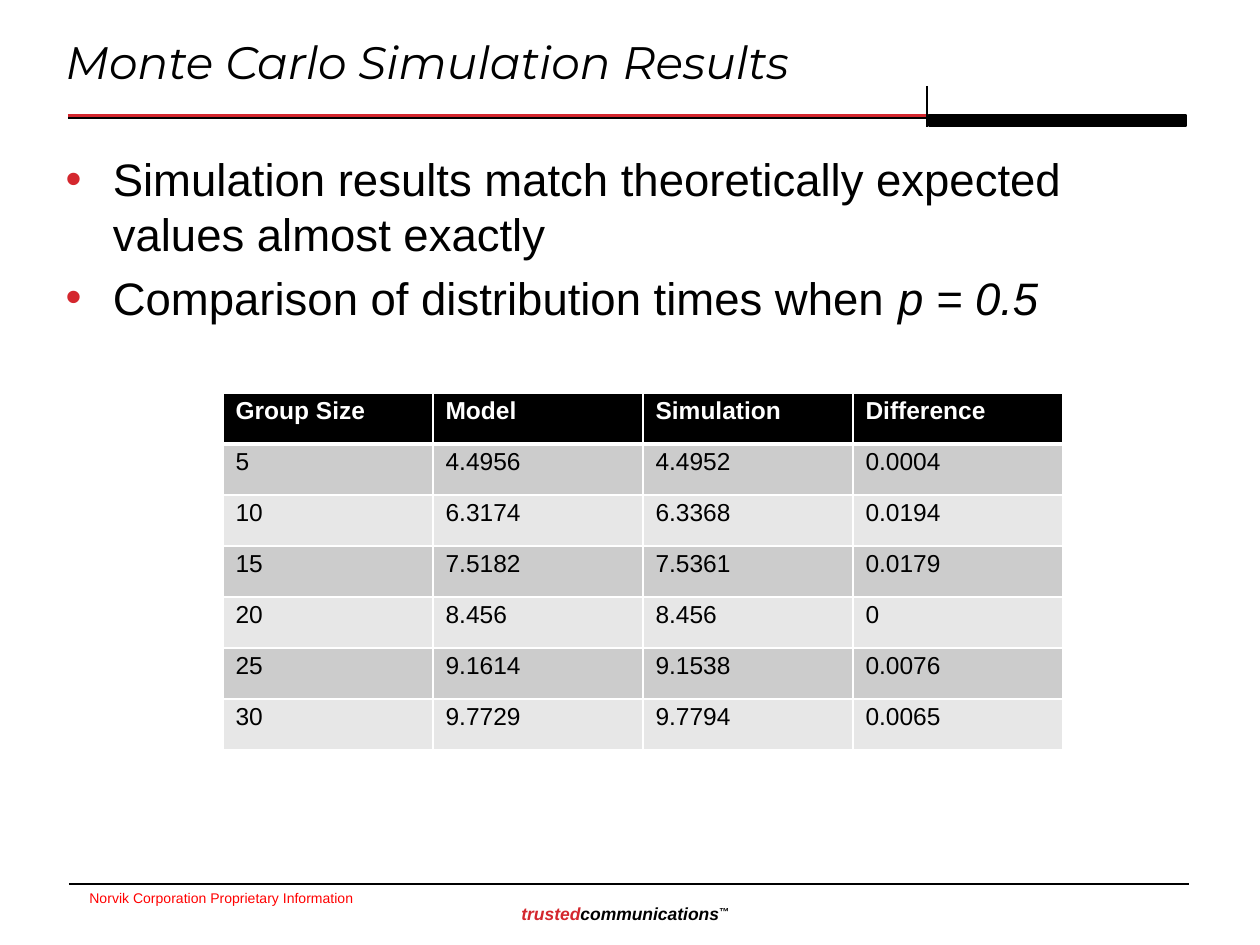
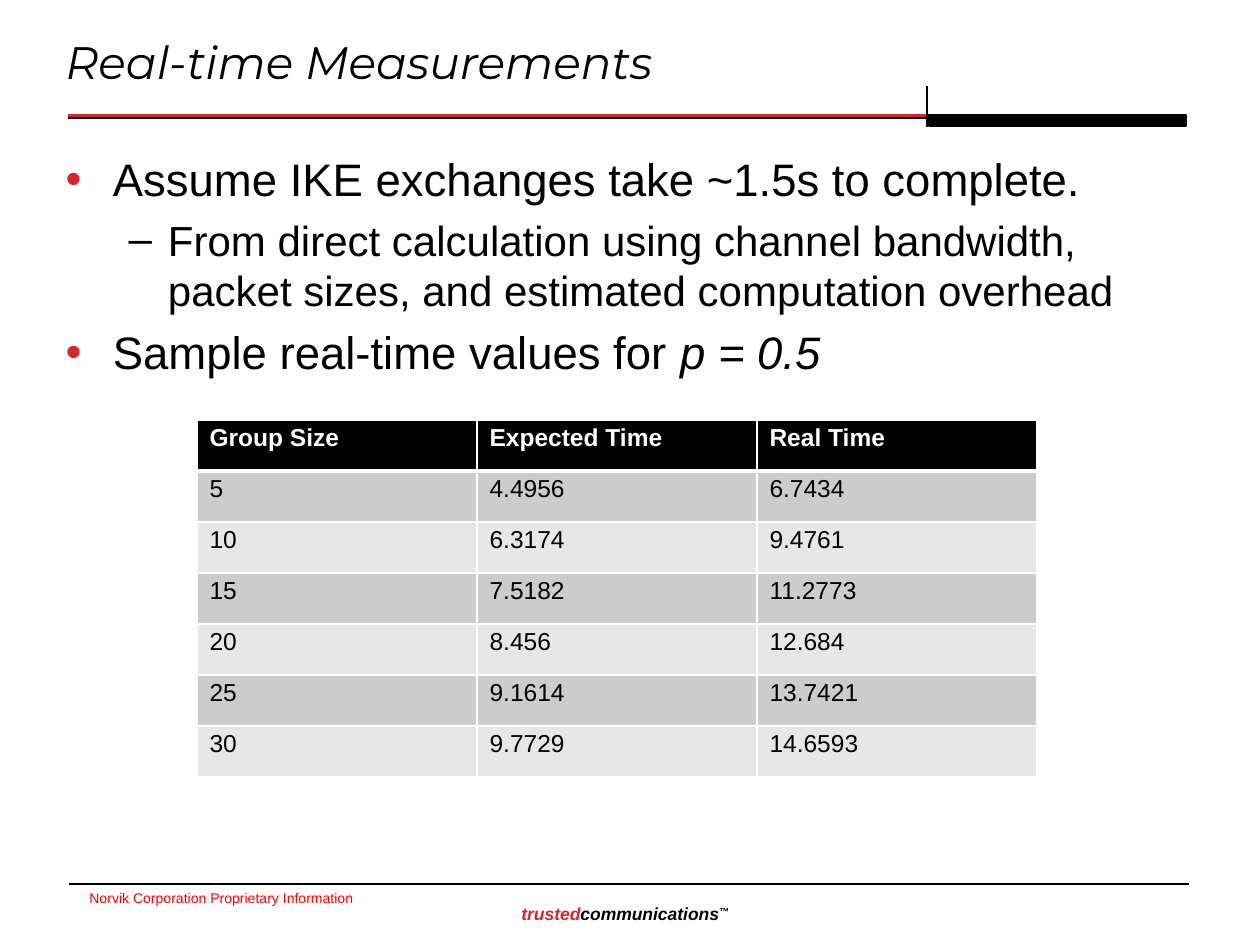
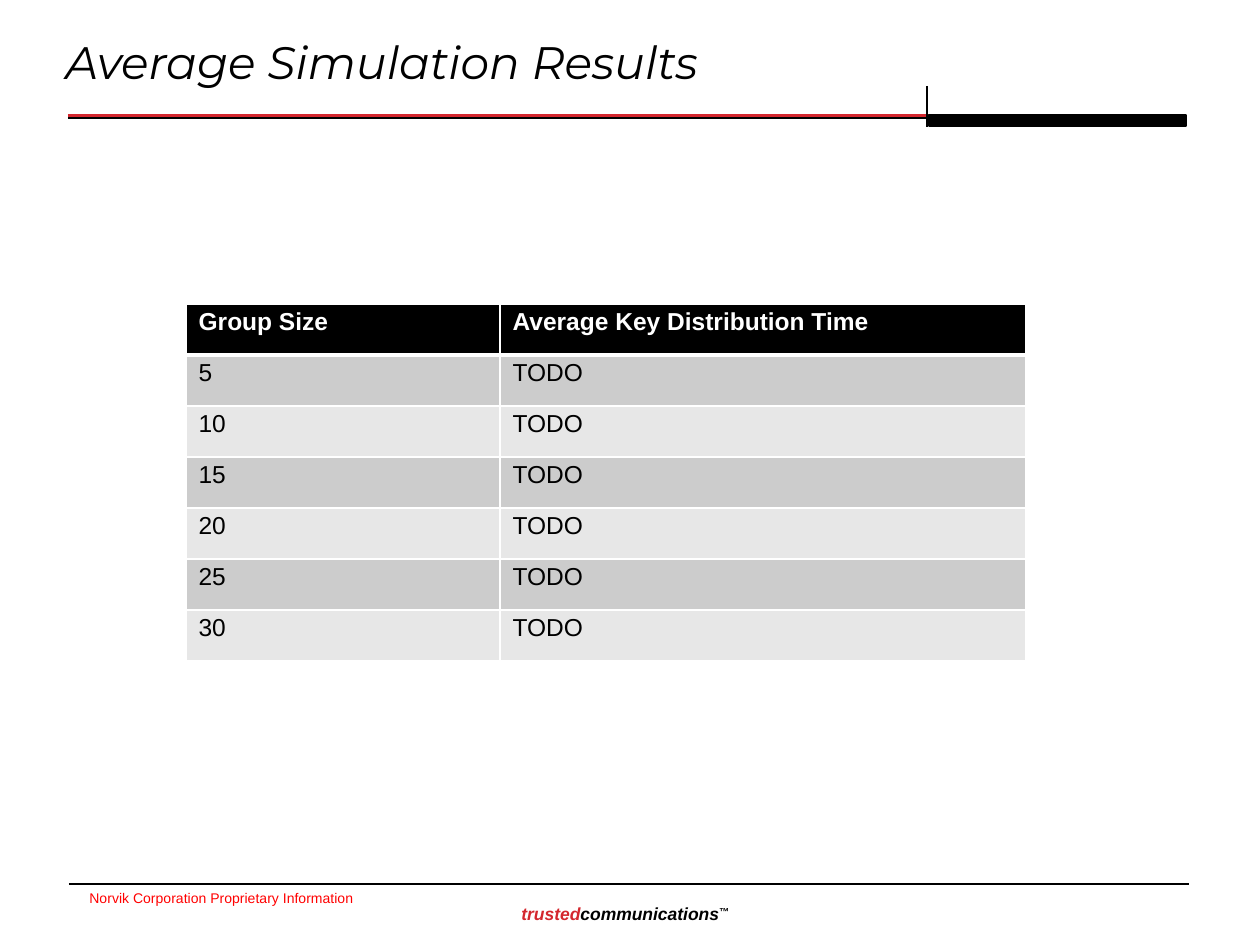
from lxml.etree import SubElement
from pptx import Presentation
from pptx.dml.color import RGBColor
from pptx.enum.shapes import MSO_CONNECTOR, MSO_SHAPE
from pptx.enum.text import MSO_ANCHOR, MSO_AUTO_SIZE, PP_ALIGN
from pptx.oxml.ns import qn
from pptx.util import Emu, Pt

COLORS = {
    "black": "000000",
    "white": "FFFFFF",
    "brand": "D4272E",
    "notice": "FF0000",
    "dark band": "CCCCCC",
    "light band": "E7E7E7",
}
LAYOUT_BODY, LAYOUT_TITLE_ONLY = 1, 5
ROW_HEIGHT = 51
GROUP_SIZES = ["5", "10", "15", "20", "25", "30"]
MODEL_TIMES = ["4.4956", "6.3174", "7.5182", "8.456", "9.1614", "9.7729"]
SIMULATED_TIMES = ["4.4952", "6.3368", "7.5361", "8.456", "9.1538", "9.7794"]
DIFFERENCES = ["0.0004", "0.0194", "0.0179", "0", "0.0076", "0.0065"]
REAL_TIMES = ["6.7434", "9.4761", "11.2773", "12.684", "13.7421", "14.6593"]


def px(length):
    return Emu(round(length * 914400 / 126))


def rgb(name):
    return RGBColor.from_string(COLORS[name])


class Deck:
    """Holds the shared style and the current slide."""

    def __init__(self):
        self.presentation = Presentation()
        self.presentation.slide_width = px(1260)
        self.presentation.slide_height = px(945)
        self.slide = None

    def start_slide(self, title, layout=LAYOUT_BODY):
        layouts = self.presentation.slide_layouts
        self.slide = self.presentation.slides.add_slide(layouts[layout])
        self.line(68, 116, 929, 116, "brand", 2)
        self.line(68, 118, 950, 118)
        self.bar(929, 115, 257, 11)
        self.line(69, 884, 1189, 884)
        self.line(927, 86, 927, 127)
        self.label(77, 883, 346, 29, [
            ("Norvik Corporation Proprietary Information", {"size": 8, "color": "notice"}),
        ])
        tagline = {"size": 10, "bold": True, "italic": True}
        self.label(509, 897, 243, 54, [
            ("trusted", {**tagline, "color": "brand"}),
            ("communications", tagline),
            ("™", {**tagline, "baseline": 30000}),
        ])
        self.title(title)

    def place(self, shape, left, top, width, height):
        shape.left, shape.top = px(left), px(top)
        shape.width, shape.height = px(width), px(height)

    def run(self, paragraph, text, size, color="black", font="Arial",
            bold=False, italic=False, baseline=None):
        run = paragraph.add_run()
        run.text = text
        run.font.size = Pt(size)
        run.font.name = font
        run.font.bold = bold
        run.font.italic = italic
        run.font.color.rgb = rgb(color)
        if baseline:
            run.font._element.set("baseline", str(baseline))

    def line(self, x1, y1, x2, y2, color="black", weight=1):
        connector = self.slide.shapes.add_connector(
            MSO_CONNECTOR.STRAIGHT, px(x1), px(y1), px(x2), px(y2))
        connector.line.color.rgb = rgb(color)
        connector.line.width = Pt(weight)
        SubElement(connector._element.spPr, qn("a:effectLst"))

    def bar(self, left, top, width, height, color="black"):
        shape = self.slide.shapes.add_shape(
            MSO_SHAPE.RECTANGLE, px(left), px(top), px(width), px(height))
        shape.shadow.inherit = False
        shape.fill.solid()
        shape.fill.fore_color.rgb = rgb(color)
        shape.line.color.rgb = rgb(color)
        shape.line.width = Pt(1)

    def label(self, left, top, width, height, runs):
        shape = self.slide.shapes.add_textbox(px(left), px(top), px(width), px(height))
        shape.text_frame.word_wrap = True
        for text, style in runs:
            self.run(shape.text_frame.paragraphs[0], text, **style)

    def title(self, text):
        shape = self.slide.shapes.title
        self.place(shape, 53, 24, 887, 74)
        frame = shape.text_frame
        frame.auto_size = MSO_AUTO_SIZE.NONE
        frame.vertical_anchor = MSO_ANCHOR.MIDDLE
        paragraph = frame.paragraphs[0]
        paragraph.alignment = PP_ALIGN.LEFT
        self.run(paragraph, text, 26, font="Montserrat", italic=True)

    def bullets(self, items):
        shape = self.slide.placeholders[1]
        self.place(shape, 53, 145, 1134, 709)
        frame = shape.text_frame
        frame.auto_size = MSO_AUTO_SIZE.NONE
        for index, (level, text, formula) in enumerate(items):
            paragraph = frame.add_paragraph() if index else frame.paragraphs[0]
            paragraph.level = level
            size = 24 if level else 26
            if level == 0:
                bullet_color = SubElement(
                    paragraph._p.get_or_add_pPr(), qn("a:buClr"))
                SubElement(bullet_color, qn("a:srgbClr"), val=COLORS["brand"])
            self.run(paragraph, text, size)
            if formula:
                self.run(paragraph, formula, size, italic=True)

    def border(self, cell, side, weight):
        properties = cell._tc.get_or_add_tcPr()
        edge = SubElement(properties, qn(f"a:ln{side}"), w=str(Pt(weight)))
        fill = SubElement(edge, qn("a:solidFill"))
        SubElement(fill, qn("a:srgbClr"), val=COLORS["white"])

    def table(self, left, top, widths, headers, columns):
        rows = [headers, *zip(*columns)]
        table = self.slide.shapes.add_table(
            len(rows), len(widths), px(left), px(top),
            px(sum(widths)), px(ROW_HEIGHT * len(rows))).table
        for column, width in zip(table.columns, widths):
            column.width = px(width)
        for row_index, values in enumerate(rows):
            header = row_index == 0
            band = "black" if header else "dark band" if row_index % 2 else "light band"
            weights = {"L": 1, "R": 1, "T": 3 if row_index == 1 else 1, "B": 3 if header else 1}
            for column_index, value in enumerate(values):
                cell = table.cell(row_index, column_index)
                for side, weight in weights.items():
                    self.border(cell, side, weight)
                cell.fill.solid()
                cell.fill.fore_color.rgb = rgb(band)
                paragraph = cell.text_frame.paragraphs[0]
                paragraph.line_spacing = 0.9
                self.run(paragraph, value, 14, "white" if header else "black", bold=header)


def main():
    deck = Deck()

    deck.start_slide("Monte Carlo Simulation Results")
    deck.bullets([
        (0, "Simulation results match theoretically expected values almost exactly", ""),
        (0, "Comparison of distribution times when ", "p = 0.5"),
    ])
    deck.table(223, 393, [210] * 4,
               ["Group Size", "Model", "Simulation", "Difference"],
               [GROUP_SIZES, MODEL_TIMES, SIMULATED_TIMES, DIFFERENCES])

    deck.start_slide("Real-time Measurements")
    deck.bullets([
        (0, "Assume IKE exchanges take ~1.5s to complete.", ""),
        (1, "From direct calculation using channel bandwidth, "
            "packet sizes, and estimated computation overhead", ""),
        (0, "Sample real-time values for ", "p = 0.5"),
    ])
    deck.table(197, 420, [280] * 3,
               ["Group Size", "Expected Time", "Real Time"],
               [GROUP_SIZES, MODEL_TIMES, REAL_TIMES])

    deck.start_slide("Average Simulation Results", LAYOUT_TITLE_ONLY)
    deck.table(186, 304, [314, 526],
               ["Group Size", "Average Key Distribution Time"],
               [GROUP_SIZES, ["TODO"] * len(GROUP_SIZES)])

    deck.presentation.save("out.pptx")


if __name__ == "__main__":
    main()
